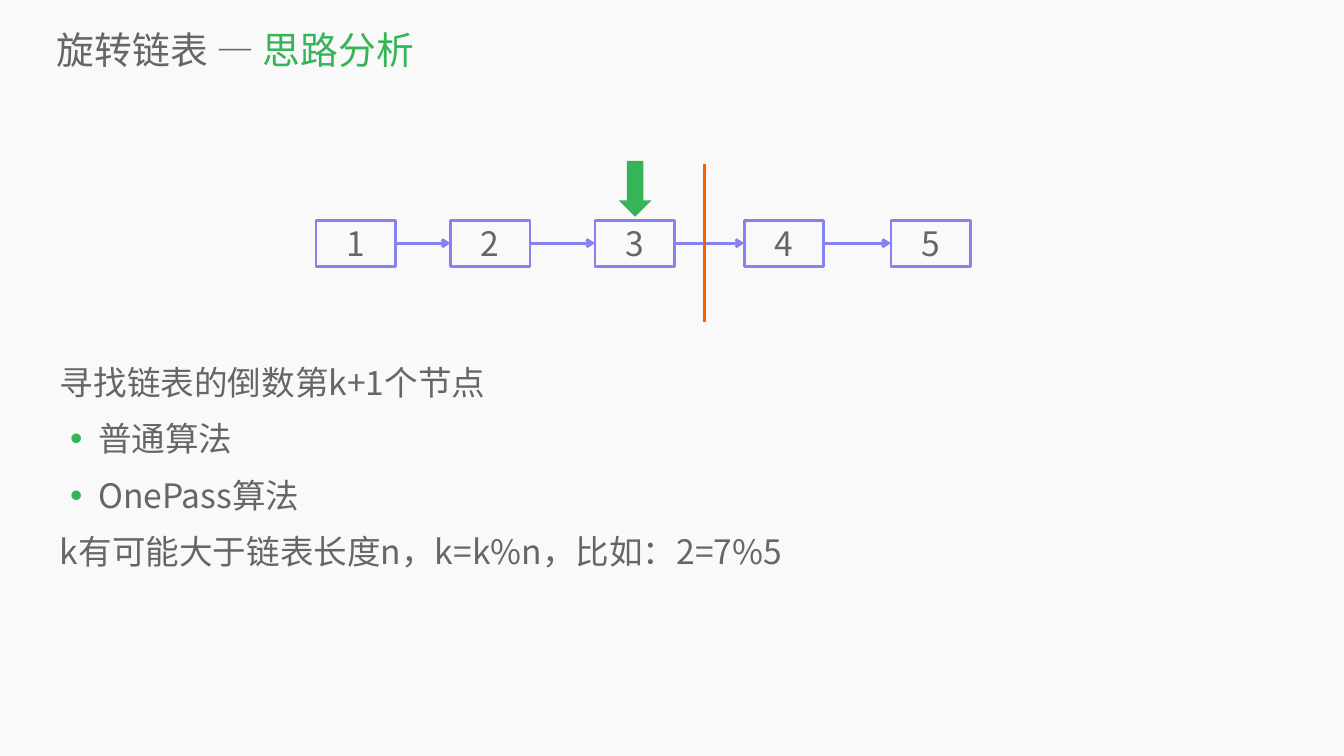
from lxml import etree
from pptx import Presentation
from pptx.dml.color import RGBColor
from pptx.enum.shapes import MSO_CONNECTOR, MSO_SHAPE
from pptx.enum.text import MSO_ANCHOR, MSO_AUTO_SIZE, PP_ALIGN
from pptx.oxml.ns import qn
from pptx.util import Inches, Pt

GRAY = RGBColor(0x66, 0x66, 0x66)
GREEN = RGBColor(0x35, 0xB5, 0x58)
VIOLET = RGBColor(0x88, 0x81, 0xF0)
ORANGE = RGBColor(0xFF, 0x5C, 0x00)
PAPER = RGBColor(0xF9, 0xF9, 0xF9)
RECT, DOWN = MSO_SHAPE.RECTANGLE, MSO_SHAPE.DOWN_ARROW
STRAIGHT = MSO_CONNECTOR.STRAIGHT
LEFT, CENTER = PP_ALIGN.LEFT, PP_ALIGN.CENTER
TOP, MIDDLE = MSO_ANCHOR.TOP, MSO_ANCHOR.MIDDLE
NO_FIT = MSO_AUTO_SIZE.NONE
FACE = "Noto Sans CJK SC"


def style(thing, values):
    for key, value in values.items():
        setattr(thing, key, value)


class Deck:
    """Style and current slide; all lengths are percent of the slide's size."""

    flat = dict(margin_left=0, margin_top=0, margin_right=0, margin_bottom=0,
                word_wrap=True, auto_size=NO_FIT)

    def __init__(self, width, height):
        self.prs = Presentation()
        self.prs.slide_width, self.prs.slide_height = Inches(width), Inches(height)
        self.slide = self.prs.slides.add_slide(self.prs.slide_layouts[0])
        self.shapes = self.slide.shapes
        back = self.slide.background.fill
        back.solid()
        back.fore_color.rgb = PAPER

    def spot(self, x, y):
        return (round(self.prs.slide_width * x / 100),
                round(self.prs.slide_height * y / 100))

    def holder(self, index, area, anchor):
        shape = self.slide.placeholders[index]
        left, top = self.spot(*area[:2])
        width, height = self.spot(*area[2:])
        style(shape, dict(left=left, top=top, width=width, height=height))
        style(shape.text_frame, dict(self.flat, vertical_anchor=anchor))
        return shape.text_frame

    def text(self, para, words, size, color=GRAY):
        run = para.add_run()
        run.text = words
        style(run.font, dict(name=FACE, size=Pt(size), bold=False))
        run.font.color.rgb = color
        east = etree.SubElement(run.font._element, qn("a:ea"))
        east.set("typeface", FACE)

    def title(self, area, parts):
        para = self.holder(0, area, MIDDLE).paragraphs[0]
        para.alignment = LEFT
        for words, color in parts:
            self.text(para, words, 54, color)

    def bullet(self, para):
        props = para._p.get_or_add_pPr()
        props.set("marL", str(Inches(0.76)))
        props.set("indent", str(Inches(-0.56)))
        tint = etree.SubElement(props, qn("a:buClr"))
        etree.SubElement(tint, qn("a:srgbClr")).set("val", str(GREEN))
        etree.SubElement(props, qn("a:buSzPct")).set("val", "105000")
        etree.SubElement(props, qn("a:buChar")).set("char", "•")

    def body(self, area, lines):
        frame = self.holder(1, area, TOP)
        for i, (words, listed) in enumerate(lines):
            para = frame.add_paragraph() if i else frame.paragraphs[0]
            if listed:
                self.bullet(para)
            style(para, dict(alignment=LEFT, line_spacing=1.4,
                             space_before=Pt(0), space_after=Pt(0)))
            self.text(para, words, 48)

    def shape(self, kind, area):
        shape = self.shapes.add_shape(kind, *self.spot(*area[:2]), *self.spot(*area[2:]))
        shape.shadow.inherit = False
        return shape

    def node(self, area, words):
        box = self.shape(RECT, area)
        box.fill.background()
        box.line.color.rgb = VIOLET
        box.line.width = Pt(4)
        style(box.text_frame, dict(vertical_anchor=MIDDLE, word_wrap=True))
        para = box.text_frame.paragraphs[0]
        para.alignment = CENTER
        self.text(para, words, 48)
        return box

    def marker(self, area):
        arrow = self.shape(DOWN, area)
        arrow.fill.solid()
        arrow.fill.fore_color.rgb = GREEN
        arrow.line.fill.background()

    def line(self, start, end, color, width):
        line = self.shapes.add_connector(STRAIGHT, *self.spot(*start), *self.spot(*end))
        line.line.color.rgb = color
        line.line.width = Pt(width)
        etree.SubElement(line._element.spPr, qn("a:effectLst"))
        return line

    def link(self, first, second):
        line = self.line((0, 0), (0, 0), VIOLET, 4)
        line.begin_connect(first, 3)
        line.end_connect(second, 1)
        stroke = line._element.spPr.find(qn("a:ln"))
        etree.SubElement(stroke, qn("a:tailEnd")).set("type", "arrow")


def main():
    deck = Deck(26.67, 15)

    # Title and notes on the method
    deck.title((4.24, 3.13, 94.34, 6.8), [("旋转链表 — ", GRAY), ("思路分析", GREEN)])
    deck.body((4.46, 45.73, 91.04, 52.47), [
        ("寻找链表的倒数第k+1个节点", False),
        ("普通算法", True),
        ("OnePass算法", True),
        ("k有可能大于链表长度n，k=k%n，比如：2=7%5", False),
    ])

    # Linked list
    lefts = (23.51, 33.52, 44.28, 55.38, 66.29)
    nodes = [deck.node((x, 29.13, 5.92, 6.07), str(i)) for i, x in enumerate(lefts, 1)]
    for first, second in zip(nodes, nodes[1:]):
        deck.link(first, second)

    # Cut line and pointer to the new tail
    deck.line((52.42, 21.73), (52.42, 42.6), ORANGE, 5)
    deck.marker((46.04, 21.27, 2.44, 7.4))

    deck.prs.save("out.pptx")


if __name__ == "__main__":
    main()
